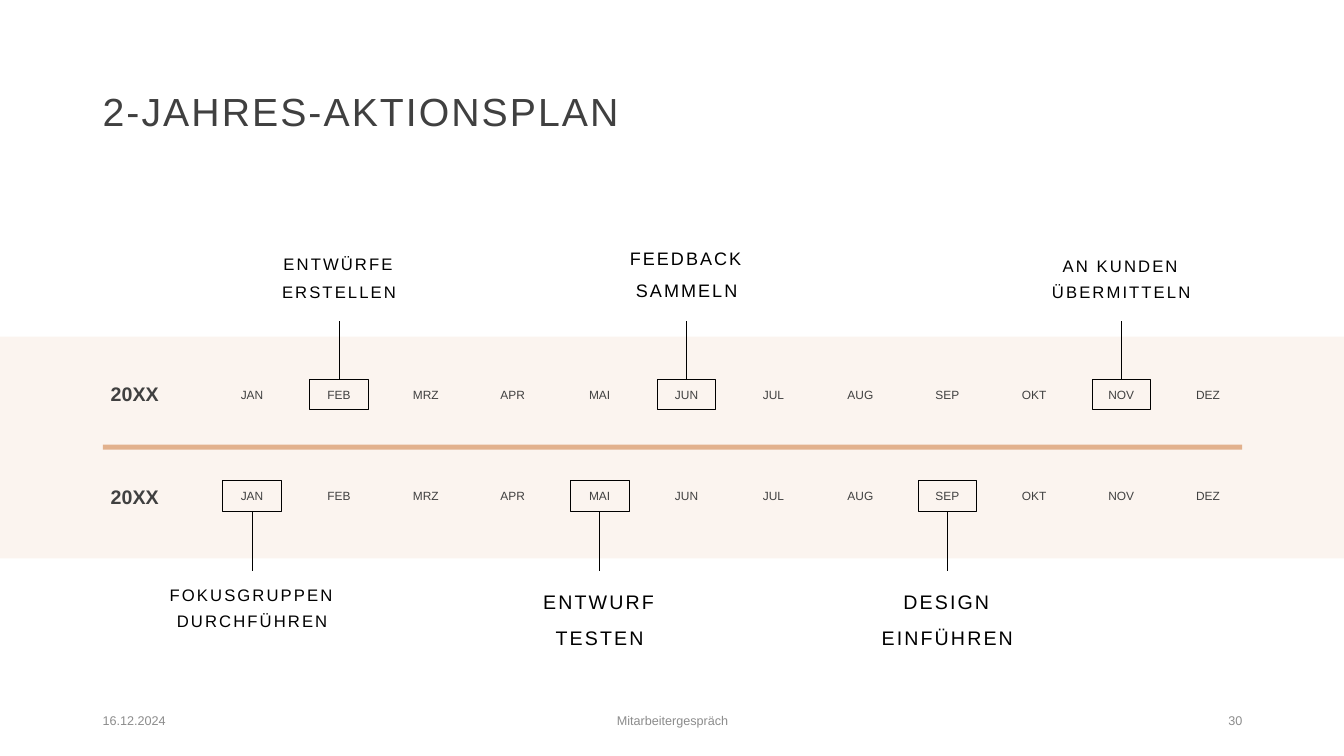
from lxml import etree
from pptx import Presentation
from pptx.dml.color import RGBColor
from pptx.enum.shapes import MSO_CONNECTOR as Connector, MSO_SHAPE as Shape
from pptx.enum.text import MSO_ANCHOR as Anchor, PP_ALIGN as Align
from pptx.oxml.ns import qn
from pptx.util import Inches, Pt

deck = Presentation()
deck.slide_width, deck.slide_height = Inches(13.33), Inches(7.5)
page = deck.slides.add_slide(deck.slide_layouts[6])


def color(value):
    return RGBColor.from_string(value)


def add_text(text, left, top, width, height, size, ink="404040", align=Align.LEFT,
             anchor=Anchor.MIDDLE, spacing=1.0, before=0, bold=False, tracking=0):
    box = page.shapes.add_textbox(Inches(left), Inches(top), Inches(width), Inches(height))
    frame = box.text_frame
    frame.word_wrap = True
    frame.vertical_anchor = anchor
    para = frame.paragraphs[0]
    para.alignment = align
    para.line_spacing = spacing
    para.space_before = Pt(before)
    span = para.add_run()
    span.text = text
    span.font.name = "Arial"
    span.font.size = Pt(size)
    span.font.bold = bold
    span.font.color.rgb = color(ink)
    if tracking:
        span._r.get_or_add_rPr().set("spc", str(int(tracking * 100)))


for left, top, width, height, fill in [
    (0, 3.34, 13.33, 2.2, "FBF4EF"),
    (1.02, 4.41, 11.3, 0.05, "E2B18D"),
]:
    band = page.shapes.add_shape(
        Shape.RECTANGLE, Inches(left), Inches(top), Inches(width), Inches(height))
    band.shadow.inherit = False
    band.fill.solid()
    band.fill.fore_color.rgb = color(fill)
    band.line.fill.background()

add_text("2-JAHRES-AKTIONSPLAN", 0.92, 0.4, 11.5, 1.45, 28, spacing=0.9, tracking=1.5)

months = ["JAN", "FEB", "MRZ", "APR", "MAI", "JUN",
          "JUL", "AUG", "SEP", "OKT", "NOV", "DEZ"]
first_center, month_step = 2.5, 0.862
marker_width, marker_height = 0.58, 0.3

years = [
    dict(year_top=3.67, month_top=3.83, marker_top=3.76, line_end=3.18, side=0,
         label_top=2.43, anchor=Anchor.BOTTOM,
         milestones=[("FEB", "ENTWÜRFE ERSTELLEN", 11.9, 1.4),
                     ("JUN", "FEEDBACK SAMMELN", 12.9, 1.5),
                     ("NOV", "AN KUNDEN ÜBERMITTELN", 11.9, 1.3)]),
    dict(year_top=4.69, month_top=4.84, marker_top=4.77, line_end=5.66, side=2,
         label_top=5.69, anchor=Anchor.TOP,
         milestones=[("JAN", "FOKUSGRUPPEN DURCHFÜHREN", 11.9, 1.3),
                     ("MAI", "ENTWURF TESTEN", 14, 1.5),
                     ("SEP", "DESIGN EINFÜHREN", 14, 1.5)]),
]

for year in years:
    add_text("20XX", 1, year["year_top"], 0.8, 0.5, 14, spacing=0.9, before=10, bold=True)
    for index, month in enumerate(months):
        add_text(month, first_center + index * month_step - 0.35, year["month_top"],
                 0.7, 0.22, 8.5, align=Align.CENTER, anchor=Anchor.TOP,
                 spacing=0.7, before=10)

    for month, label, size, spacing in year["milestones"]:
        center = first_center + months.index(month) * month_step
        add_text(label, center - 1.125, year["label_top"], 2.25, 0.61, size, ink="000000",
                 align=Align.CENTER, anchor=year["anchor"], spacing=spacing,
                 before=10, tracking=1.5)

        marker = page.shapes.add_shape(
            Shape.RECTANGLE, Inches(center - marker_width / 2), Inches(year["marker_top"]),
            Inches(marker_width), Inches(marker_height))
        marker.shadow.inherit = False
        marker.fill.background()

        leader = page.shapes.add_connector(
            Connector.STRAIGHT, Inches(center), Inches(year["marker_top"]),
            Inches(center), Inches(year["line_end"]))
        leader.begin_connect(marker, year["side"])
        etree.SubElement(leader._element.spPr, qn("a:effectLst"))

        for outlined in (marker, leader):
            outlined.line.color.rgb = color("000000")
            outlined.line.width = Pt(0.5)

for text, left, width, align in [
    ("16.12.2024", 0.92, 3, Align.LEFT),
    ("Mitarbeitergespräch", 4.42, 4.5, Align.CENTER),
    ("30", 9.42, 3, Align.RIGHT),
]:
    add_text(text, left, 6.95, width, 0.4, 9, ink="8C8C8C", align=align)

deck.save("out.pptx")
